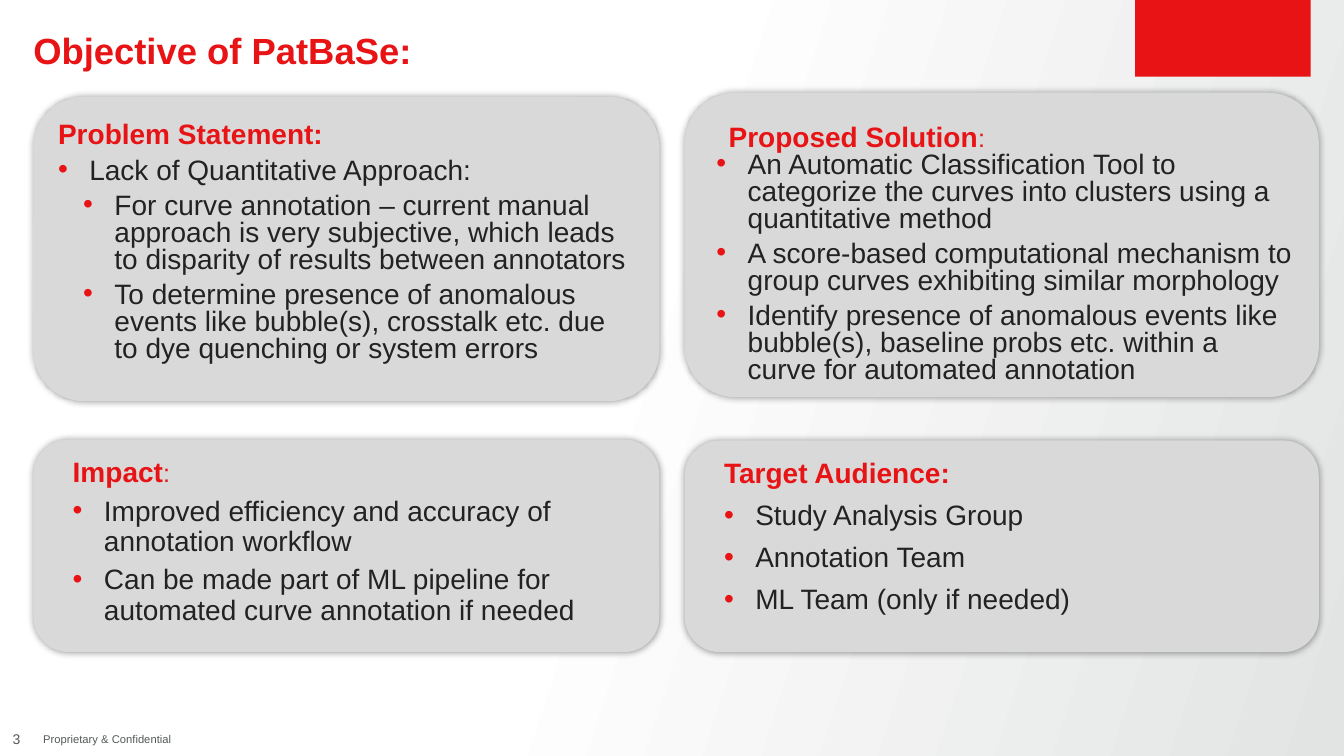
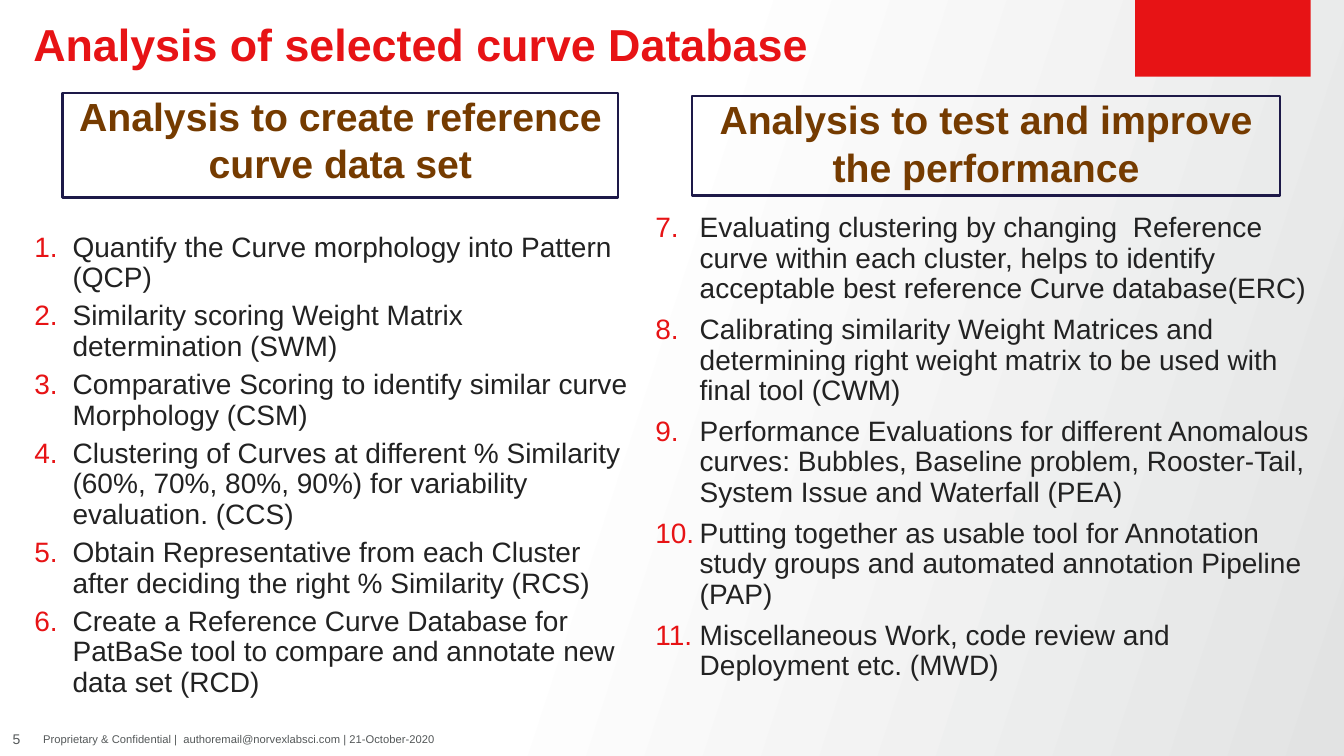
from dataclasses import dataclass

import pptx
import pptx.dml.color
import pptx.enum.shapes
import pptx.enum.text
import pptx.oxml
import pptx.oxml.ns
import pptx.presentation
import pptx.shapes.autoshape
import pptx.slide
import pptx.text.text
import pptx.util

Inches = pptx.util.Inches
RGBColor = pptx.dml.color.RGBColor
MSO_SHAPE = pptx.enum.shapes.MSO_SHAPE
PP_ALIGN = pptx.enum.text.PP_ALIGN
MSO_ANCHOR = pptx.enum.text.MSO_ANCHOR

RED = RGBColor(0xE7, 0x13, 0x15)
INK = RGBColor(0x22, 0x22, 0x22)
FOOTER_GRAY = RGBColor(0x54, 0x58, 0x59)
CARD_GRAY = RGBColor(0xD9, 0xD9, 0xD9)
BROWN = RGBColor(0x75, 0x3B, 0x00)
NAVY = RGBColor(0x1D, 0x19, 0x48)
WHITE = RGBColor(0xFF, 0xFF, 0xFF)
PALE_GRAY = RGBColor(0xE2, 0xE3, 0xE3)
BLACK = RGBColor(0x00, 0x00, 0x00)

FONT = "Arial"
TITLE_ONLY = 5
BACKGROUND_STOPS = ((0, WHITE), (45, WHITE), (100, PALE_GRAY))
BACKGROUND_ANGLE = 18
NAMESPACE = pptx.oxml.ns.nsdecls("a")


@dataclass(frozen=True)
class Box:
    left: float
    top: float
    width: float
    height: float

    def lengths(self) -> tuple[int, int, int, int]:
        return Inches(self.left), Inches(self.top), Inches(self.width), Inches(self.height)


@dataclass(frozen=True)
class Bullet:
    text: str
    left: float


@dataclass(frozen=True)
class Card:
    box: Box
    heading: str
    bullets: tuple[Bullet, ...]
    colon: str = ""
    heading_left: float = 0.19
    heading_spacing: float = 1.0
    heading_after: float = 6
    line_spacing: float = 1.0


@dataclass(frozen=True)
class Column:
    header: str
    header_box: Box
    list_box: Box
    items: tuple[str, ...]
    start: int
    indent: float
    space_after: float


CARDS = (
    Card(
        Box(0.33, 0.96, 6.21, 3.02),
        "Problem Statement:",
        (
            Bullet("Lack of Quantitative Approach:", 0.31),
            Bullet("For curve annotation – current manual approach is very subjective, which leads to disparity of results between annotators", 0.56),
            Bullet("To determine presence of anomalous events like bubble(s), crosstalk etc. due to dye quenching or system errors", 0.56),
        ),
        heading_left=0,
        line_spacing=0.8,
    ),
    Card(
        Box(6.79, 0.92, 6.29, 3.02),
        "Proposed Solution",
        (
            Bullet("An Automatic Classification Tool to categorize the curves into clusters using a quantitative method", 0.38),
            Bullet("A score-based computational mechanism to group curves exhibiting similar morphology", 0.38),
            Bullet("Identify presence of anomalous events like bubble(s), baseline probs etc. within a curve for automated annotation", 0.38),
        ),
        colon=":",
        heading_spacing=1.2,
        heading_after=0,
        line_spacing=0.8,
    ),
    Card(
        Box(0.33, 4.36, 6.21, 2.11),
        "Impact",
        (
            Bullet("Improved efficiency and accuracy of annotation workflow", 0.5),
            Bullet("Can be made part of ML pipeline for automated curve annotation if needed", 0.5),
        ),
        colon=":",
        line_spacing=0.9,
    ),
    Card(
        Box(6.79, 4.37, 6.29, 2.1),
        "Target Audience:",
        (
            Bullet("Study Analysis Group", 0.5),
            Bullet("Annotation Team", 0.5),
            Bullet("ML Team (only if needed)", 0.5),
        ),
    ),
)

COLUMNS = (
    Column(
        "Analysis to create reference curve data set",
        Box(0.62, 0.92, 5.51, 1.04),
        Box(0.34, 2.31, 6, 4.7),
        (
            "Quantify the Curve morphology into Pattern (QCP)",
            "Similarity scoring Weight Matrix determination (SWM)",
            "Comparative Scoring to identify similar curve Morphology (CSM)",
            "Clustering of Curves at different % Similarity (60%, 70%, 80%, 90%) for variability evaluation. (CCS)",
            "Obtain Representative from each Cluster after deciding the right % Similarity (RCS)",
            "Create a Reference Curve Database for PatBaSe tool to compare and annotate new data set (RCD)",
        ),
        start=1,
        indent=0.38,
        space_after=6,
    ),
    Column(
        "Analysis to test and improve the performance",
        Box(6.86, 0.95, 5.84, 0.99),
        Box(6.5, 2.12, 6.5, 4.86),
        (
            "Evaluating clustering by changing  Reference curve within each cluster, helps to identify acceptable best reference Curve database(ERC)",
            "Calibrating similarity Weight Matrices and determining right weight matrix to be used with final tool (CWM)",
            "Performance Evaluations for different Anomalous curves: Bubbles, Baseline problem, Rooster-Tail, System Issue and Waterfall (PEA)",
            "Putting together as usable tool for Annotation study groups and automated annotation Pipeline (PAP)",
            "Miscellaneous Work, code review and Deployment etc. (MWD)",
        ),
        start=7,
        indent=0.44,
        space_after=8,
    ),
)


def add_run(paragraph: pptx.text.text._Paragraph, text: str, *, size: float, color: RGBColor, bold: bool) -> None:
    run = paragraph.add_run()
    run.text = text
    run.font.name = FONT
    run.font.size = pptx.util.Pt(size)
    run.font.bold = bold
    run.font.color.rgb = color


def write_text(
    frame: pptx.text.text.TextFrame,
    text: str,
    *,
    size: float = 20,
    color: RGBColor = INK,
    bold: bool = False,
    alignment: PP_ALIGN = PP_ALIGN.LEFT,
    line_spacing: float = 1.0,
    space_after: float = 0,
    left: float = 0,
    hanging: float = 0,
    marker: str = "",
) -> pptx.text.text._Paragraph:
    first = frame.paragraphs[0]
    paragraph = frame.add_paragraph() if first.runs else first
    paragraph.alignment = alignment
    paragraph.line_spacing = line_spacing
    paragraph.space_before = pptx.util.Pt(0)
    paragraph.space_after = pptx.util.Pt(space_after)
    properties = paragraph._p.get_or_add_pPr()
    properties.set("marL", str(Inches(left)))
    properties.set("indent", str(Inches(-hanging)))
    if marker:
        for xml in (
            f'<a:buClr {NAMESPACE}><a:srgbClr val="{RED}"/></a:buClr>',
            f'<a:buFont {NAMESPACE} typeface="{FONT}"/>',
            marker,
        ):
            properties.append(pptx.oxml.parse_xml(xml))
    add_run(paragraph, text, size=size, color=color, bold=bold)
    return paragraph


def prepare_frame(
    shape: pptx.shapes.autoshape.Shape, *, anchor: MSO_ANCHOR = MSO_ANCHOR.TOP, margins: bool = False
) -> pptx.text.text.TextFrame:
    frame = shape.text_frame
    frame.word_wrap = True
    frame.auto_size = pptx.enum.text.MSO_AUTO_SIZE.NONE
    frame.vertical_anchor = anchor
    if not margins:
        frame.margin_left = frame.margin_top = frame.margin_right = frame.margin_bottom = 0
    return frame


def add_panel(
    slide: pptx.slide.Slide,
    kind: MSO_SHAPE,
    box: Box,
    *,
    fill: RGBColor | None = None,
    line: RGBColor | None = None,
) -> pptx.shapes.autoshape.Shape:
    shape = slide.shapes.add_shape(kind, *box.lengths())
    shape.shadow.inherit = False
    if fill is None:
        shape.fill.background()
    else:
        shape.fill.solid()
        shape.fill.fore_color.rgb = fill
    if line is None:
        shape.line.fill.background()
    else:
        shape.line.color.rgb = line
        shape.line.width = pptx.util.Pt(1.5)
    return shape


def set_background(presentation: pptx.presentation.Presentation) -> None:
    master = presentation.slide_master
    master.background.fill.gradient()
    gradient = master.element.find(".//" + pptx.oxml.ns.qn("a:gradFill"))
    for child in list(gradient):
        gradient.remove(child)
    stops = "".join(
        f'<a:gs pos="{position * 1000}"><a:srgbClr val="{color}"/></a:gs>' for position, color in BACKGROUND_STOPS
    )
    gradient.append(pptx.oxml.parse_xml(f"<a:gsLst {NAMESPACE}>{stops}</a:gsLst>"))
    gradient.append(pptx.oxml.parse_xml(f'<a:lin {NAMESPACE} ang="{BACKGROUND_ANGLE * 60000}" scaled="0"/>'))


def add_slide(
    presentation: pptx.presentation.Presentation,
    title: str,
    *,
    title_box: Box,
    title_size: float,
    number: str,
    footer: str,
) -> pptx.slide.Slide:
    slide = presentation.slides.add_slide(presentation.slide_layouts[TITLE_ONLY])
    add_panel(slide, MSO_SHAPE.RECTANGLE, Box(11.26, 0, 1.74, 0.76), fill=RED)
    heading = slide.shapes.title
    heading.left, heading.top, heading.width, heading.height = title_box.lengths()
    write_text(prepare_frame(heading), title, size=title_size, color=RED, bold=True, line_spacing=0.9)
    number_box = slide.shapes.add_textbox(*Box(0, 7.17, 0.33, 0.33).lengths())
    number_frame = prepare_frame(number_box, anchor=MSO_ANCHOR.MIDDLE)
    write_text(number_frame, number, size=10, color=FOOTER_GRAY, alignment=PP_ALIGN.CENTER)
    footer_box = slide.shapes.add_textbox(*Box(0.33, 7.17, 8.33, 0.33).lengths())
    footer_frame = prepare_frame(footer_box, anchor=MSO_ANCHOR.MIDDLE, margins=True)
    write_text(footer_frame, footer, size=8, color=FOOTER_GRAY)
    return slide


def add_card(slide: pptx.slide.Slide, card: Card) -> None:
    shape = add_panel(slide, MSO_SHAPE.ROUNDED_RECTANGLE, card.box, fill=CARD_GRAY)
    effects = shape._element.spPr.find(pptx.oxml.ns.qn("a:effectLst"))
    effects.append(pptx.oxml.parse_xml(
        f'<a:outerShdw {NAMESPACE} blurRad="{pptx.util.Pt(5)}" dist="0" dir="0" algn="ctr" rotWithShape="0">'
        f'<a:srgbClr val="{BLACK}"><a:alpha val="40000"/></a:srgbClr></a:outerShdw>'
    ))
    frame = prepare_frame(shape, margins=True)
    heading = write_text(
        frame, card.heading, color=RED, bold=True, left=card.heading_left,
        line_spacing=card.heading_spacing, space_after=card.heading_after,
    )
    if card.colon:
        add_run(heading, card.colon, size=18, color=RED, bold=False)
    for bullet in card.bullets:
        write_text(
            frame, bullet.text, left=bullet.left, hanging=0.31, line_spacing=card.line_spacing,
            space_after=6, marker=f'<a:buChar {NAMESPACE} char="•"/>',
        )


def add_column(slide: pptx.slide.Slide, column: Column) -> None:
    list_frame = prepare_frame(slide.shapes.add_textbox(*column.list_box.lengths()))
    marker = f'<a:buAutoNum {NAMESPACE} type="arabicPeriod" startAt="{column.start}"/>'
    for item in column.items:
        write_text(
            list_frame, item, left=column.indent, hanging=column.indent, line_spacing=0.9,
            space_after=column.space_after, marker=marker,
        )
    header = add_panel(slide, MSO_SHAPE.RECTANGLE, column.header_box, line=NAVY)
    write_text(
        prepare_frame(header), column.header, size=28, color=BROWN, bold=True,
        alignment=PP_ALIGN.CENTER, space_after=6,
    )


def main() -> None:
    presentation = pptx.Presentation()
    presentation.slide_width = Inches(13.33)
    presentation.slide_height = Inches(7.5)
    set_background(presentation)
    objective = add_slide(
        presentation, "Objective of PatBaSe:", title_box=Box(0.33, 0.33, 10.67, 0.42), title_size=26,
        number="3", footer="Proprietary & Confidential",
    )
    for card in CARDS:
        add_card(objective, card)
    analysis = add_slide(
        presentation, "Analysis of selected curve Database", title_box=Box(0.33, 0.23, 7.84, 0.38), title_size=32,
        number="5", footer="Proprietary & Confidential |  authoremail@norvexlabsci.com | 21-October-2020",
    )
    for column in COLUMNS:
        add_column(analysis, column)
    presentation.save("out.pptx")


if __name__ == "__main__":
    main()
